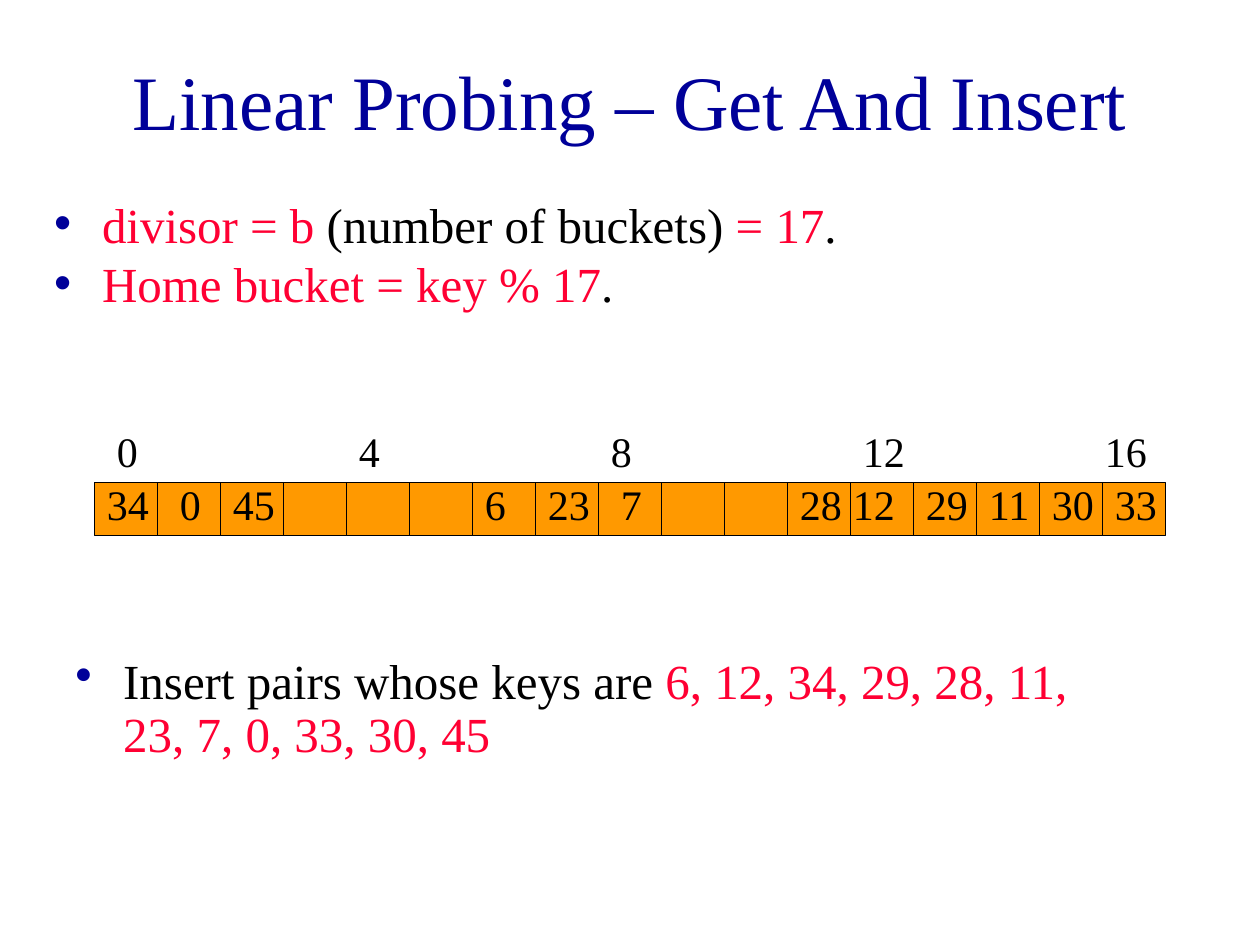
from lxml.etree import SubElement
from pptx import Presentation
from pptx.dml.color import RGBColor
from pptx.enum.shapes import MSO_SHAPE
from pptx.enum.text import MSO_ANCHOR, MSO_AUTO_SIZE, PP_ALIGN
from pptx.oxml.ns import qn
from pptx.util import Inches, Pt

COLORS = {"navy": "000099", "red": "FF0033", "black": "000000", "orange": "FF9900"}
FONT = "Times New Roman"
CELL_WIDTH, CELL_HEIGHT = 0.5, 0.42

# Bucket number: (key, shift of the key from the left edge of its cell)
BUCKETS = {
    0: ("34", 0), 1: ("0", 0.08), 2: ("45", 0), 6: ("6", 0),
    7: ("23", 0), 8: ("7", 0.08), 11: ("28", 0), 12: ("12", -0.08),
    13: ("29", 0), 14: ("11", 0), 15: ("30", 0), 16: ("33", 0),
}
# Bucket number: shift of its index label
INDEXES = {0: 0.08, 4: 0, 8: 0, 12: 0, 16: -0.08}

HASH_RULES = [
    [("divisor = b ", "red"), ("(number of buckets)", "black"),
     (" = 17", "red"), (".", "black")],
    [("Home bucket = key % 17", "red"), (".", "black")],
]
INSERT_RULES = [
    [("Insert pairs whose keys are ", "black"),
     ("6, 12, 34, 29, 28, 11, 23, 7, 0, 33, 30, 45", "red")],
]


def color(name):
    return RGBColor.from_string(COLORS[name])


def place(shape, box):
    shape.left, shape.top, shape.width, shape.height = map(Inches, box)


def style(font, size, color_name=None):
    font.name, font.size = FONT, Pt(size)
    if color_name:
        font.color.rgb = color(color_name)


def add_bullet(para):
    properties = para._p.get_or_add_pPr()
    properties.set("marL", str(Inches(0.38)))
    properties.set("indent", str(Inches(-0.38)))
    bullet_color = SubElement(properties, qn("a:buClr"))
    SubElement(bullet_color, qn("a:srgbClr"), val=COLORS["navy"])
    SubElement(properties, qn("a:buChar"), char="•")


def fill_title(title, box):
    place(title, box)
    frame = title.text_frame
    frame.auto_size = MSO_AUTO_SIZE.NONE
    frame.vertical_anchor = MSO_ANCHOR.MIDDLE
    frame.text = "Linear Probing – Get And Insert"
    para = frame.paragraphs[0]
    para.alignment = PP_ALIGN.CENTER
    style(para.font, 44, "navy")


def fill_list(shape, box, items, line_spacing):
    place(shape, box)
    frame = shape.text_frame
    frame.word_wrap = True
    frame.auto_size = MSO_AUTO_SIZE.NONE
    for number, item in enumerate(items):
        para = frame.add_paragraph() if number else frame.paragraphs[0]
        para.line_spacing = line_spacing
        para.space_before = Pt(7)
        style(para.font, 28)
        add_bullet(para)
        for text, color_name in item:
            span = para.add_run()
            span.text = text
            span.font.color.rgb = color(color_name)


def add_number(page, left, top, text):
    width = 0.42 if len(text) == 1 else 0.58
    label = page.shapes.add_textbox(*map(Inches, (left, top, width, 0.5)))
    frame = label.text_frame
    frame.word_wrap = True
    frame.text = text
    style(frame.paragraphs[0].font, 24, "black")


def add_hash_table(page, left, top, count):
    # Row of buckets
    for bucket in range(count):
        cell = page.shapes.add_shape(
            MSO_SHAPE.RECTANGLE, Inches(left + bucket * CELL_WIDTH), Inches(top),
            Inches(CELL_WIDTH), Inches(CELL_HEIGHT))
        cell.shadow.inherit = False
        cell.fill.solid()
        cell.fill.fore_color.rgb = color("orange")
        cell.line.color.rgb = color("black")
        cell.line.width = Pt(1)
    # Index labels above the row
    for bucket, shift in INDEXES.items():
        add_number(page, left + bucket * CELL_WIDTH + shift, top - 0.5, str(bucket))
    # Keys stored in the buckets
    for bucket, (key, shift) in BUCKETS.items():
        add_number(page, left + bucket * CELL_WIDTH + shift, top - 0.08, key)


def main():
    deck = Presentation()
    deck.slide_width, deck.slide_height = Inches(10), Inches(7.5)
    page = deck.slides.add_slide(deck.slide_layouts[1])

    fill_title(page.shapes.title, (0.75, 0.17, 8.5, 1.25))
    fill_list(page.placeholders[1], (0.33, 1.58, 8.5, 1), HASH_RULES, 0.8)
    add_hash_table(page, 0.75, 3.83, 17)
    insert_list = page.shapes.add_textbox(0, 0, 0, 0)
    fill_list(insert_list, (0.5, 5.17, 8.5, 1), INSERT_RULES, 0.9)

    deck.save("out.pptx")


if __name__ == "__main__":
    main()
